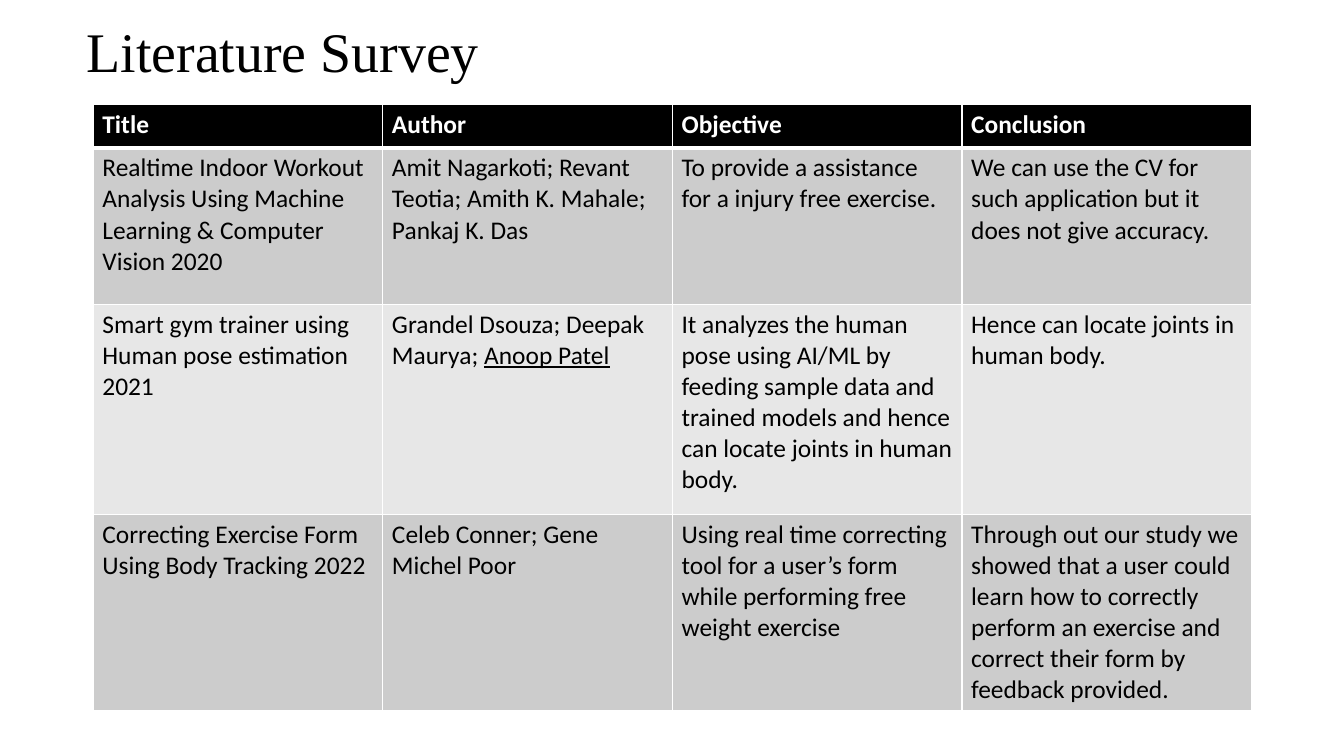
from pptx import Presentation
from pptx import util as u
from pptx.dml.color import RGBColor
from pptx.oxml.ns import qn
from lxml import etree

BLACK = RGBColor(0x00, 0x00, 0x00)
WHITE = RGBColor(0xFF, 0xFF, 0xFF)
DARK_BAND = RGBColor(0xCC, 0xCC, 0xCC)
LIGHT_BAND = RGBColor(0xE7, 0xE7, 0xE7)

HEADING_FORMAT = {"name": "Times New Roman", "size": u.Pt(44)}
HEADER_FORMAT = {"name": "Calibri", "size": u.Pt(20), "bold": True}
BODY_FORMAT = {"name": "Calibri", "size": u.Pt(20), "bold": False}

ROW_HEIGHTS = [0.48, 1.71, 2.3, 2.13]
SURVEY = [
    [["Title"], ["Author"], ["Objective"], ["Conclusion"]],
    [
        ["Realtime Indoor Workout Analysis Using Machine Learning & Computer Vision 2020"],
        ["Amit Nagarkoti; Revant Teotia; Amith K. Mahale; Pankaj K. Das"],
        ["To provide a assistance for a injury free exercise."],
        ["We can use the CV for such application but it does not give accuracy."],
    ],
    [
        ["Smart gym trainer using Human pose estimation 2021"],
        ["Grandel Dsouza; Deepak Maurya; ", "Anoop Patel"],
        ["It analyzes the human pose using AI/ML by feeding sample data and "
         "trained models and hence can locate joints in human body."],
        ["Hence can locate joints in human body."],
    ],
    [
        ["Correcting Exercise Form Using Body Tracking 2022"],
        ["Celeb Conner; Gene Michel Poor"],
        ["Using real time correcting tool for a user’s form while performing free weight exercise"],
        ["Through out our study we showed that a user could learn how to correctly "
         "perform an exercise and correct their form by feedback provided."],
    ],
]


def add_words(paragraph, words, color, font_format):
    """Append a formatted run to the paragraph and return it."""
    run = paragraph.add_run()
    run.text = words
    for attribute, value in font_format.items():
        setattr(run.font, attribute, value)
    run.font.color.rgb = color
    return run


def set_borders(cell, bottom_width, top_width):
    """Draw white rules around a table cell, ahead of its fill."""
    properties = cell._tc.get_or_add_tcPr()
    widths = {"a:lnL": 1, "a:lnR": 1, "a:lnT": top_width, "a:lnB": bottom_width}
    for position, (side, width) in enumerate(widths.items()):
        rule = etree.Element(qn(side), w=str(u.Pt(width)))
        paint = etree.SubElement(rule, qn("a:solidFill"))
        etree.SubElement(paint, qn("a:srgbClr"), val=str(WHITE))
        properties.insert(position, rule)


def add_heading(slide, left, top, width, height):
    """Place the slide heading in the given box."""
    heading = slide.shapes.add_textbox(*map(u.Inches, (left, top, width, height)))
    heading.text_frame.word_wrap = True
    add_words(heading.text_frame.paragraphs[0], "Literature Survey", BLACK, HEADING_FORMAT)


def add_survey(slide, left, top, width):
    """Place the survey table with equal columns across the given width."""
    box = map(u.Inches, (left, top, width, sum(ROW_HEIGHTS)))
    survey = slide.shapes.add_table(len(SURVEY), len(SURVEY[0]), *box).table
    for row, height in zip(survey.rows, ROW_HEIGHTS):
        row.height = u.Inches(height)
    for row_index, entries in enumerate(SURVEY):
        is_header = row_index == 0
        band = BLACK if is_header else DARK_BAND if row_index % 2 else LIGHT_BAND
        ink = WHITE if is_header else BLACK
        font_format = HEADER_FORMAT if is_header else BODY_FORMAT
        for column_index, (plain, *underlined) in enumerate(entries):
            cell = survey.cell(row_index, column_index)
            cell.fill.solid()
            cell.fill.fore_color.rgb = band
            set_borders(cell, 3 if is_header else 1, 3 if row_index == 1 else 1)
            paragraph = cell.text_frame.paragraphs[0]
            add_words(paragraph, plain, ink, font_format)
            for name in underlined:
                add_words(paragraph, name, ink, font_format).font.underline = True


def main():
    """Build the literature survey slide."""
    presentation = Presentation()
    presentation.slide_width = u.Inches(14.7)
    presentation.slide_height = u.Inches(8.27)
    slide = presentation.slides.add_slide(presentation.slide_layouts[6])
    add_survey(slide, 1.02, 1.14, 12.67)
    add_heading(slide, 0.85, 0.13, 6, 0.84)
    presentation.save("out.pptx")


if __name__ == "__main__":
    main()
